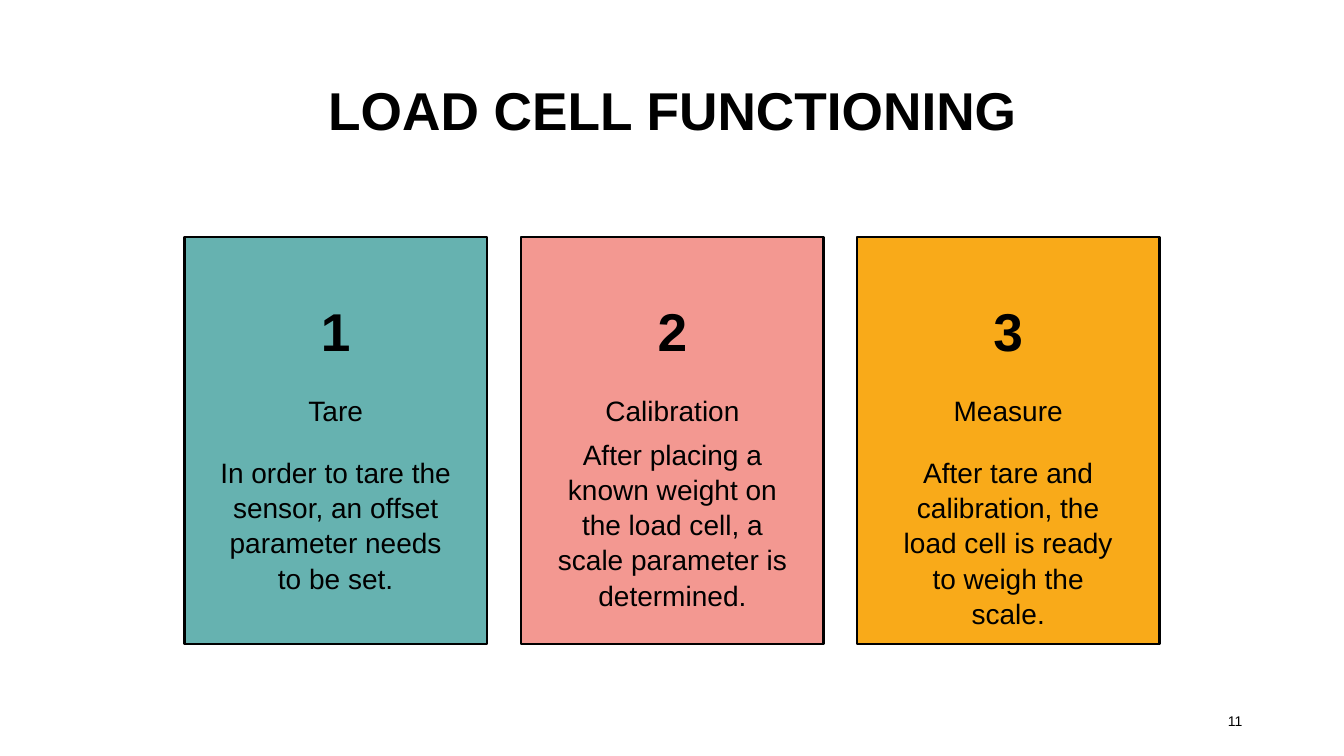
from dataclasses import dataclass

from pptx import Presentation
from pptx.dml.color import RGBColor
from pptx.enum.shapes import MSO_SHAPE as Shape
from pptx.enum.text import MSO_ANCHOR as Anchor, PP_ALIGN as Align
from pptx.util import Pt

EMU_PER_PX = 9144  # 100 px to the inch
SLIDE_WIDTH, SLIDE_HEIGHT = 1333, 750


def px(length):
    return length * EMU_PER_PX


@dataclass(frozen=True)
class Theme:
    font: str = "Arial"
    ink: str = "000000"
    teal: str = "66B2B0"
    pink: str = "F39891"
    amber: str = "F9AA19"
    display_size: int = 38
    body_size: int = 20
    page_size: int = 10
    border: float = 1.75
    tight: float = 0.9
    loose: float = 1.05


class SlideBuilder:
    def __init__(self, slide, theme):
        self.slide = slide
        self.theme = theme

    def set_words(self, shape, words, size, bold=False, align=Align.CENTER,
                  anchor=Anchor.TOP, spacing=1.0, inset_top=5):
        frame = shape.text_frame
        frame.word_wrap = True
        frame.vertical_anchor = anchor
        frame.margin_left = frame.margin_right = px(10)
        frame.margin_top, frame.margin_bottom = px(inset_top), px(5)
        frame.text = words
        paragraph = frame.paragraphs[0]
        paragraph.alignment = align
        paragraph.line_spacing = spacing
        font = paragraph.runs[0].font
        font.name, font.size, font.bold = self.theme.font, Pt(size), bold
        font.color.rgb = RGBColor.from_string(self.theme.ink)

    def text(self, box, words, size, **style):
        label = self.slide.shapes.add_textbox(*map(px, box))
        self.set_words(label, words, size, **style)

    def card(self, box, number, color):
        card = self.slide.shapes.add_shape(Shape.RECTANGLE, *map(px, box))
        card.shadow.inherit = False
        card.fill.solid()
        card.fill.fore_color.rgb = RGBColor.from_string(color)
        card.line.color.rgb = RGBColor.from_string(self.theme.ink)
        card.line.width = Pt(self.theme.border)
        self.set_words(card, number, self.theme.display_size, bold=True,
                       spacing=self.theme.tight, inset_top=68)


def main():
    theme = Theme()
    deck = Presentation()
    deck.slide_width, deck.slide_height = px(SLIDE_WIDTH), px(SLIDE_HEIGHT)
    builder = SlideBuilder(deck.slides.add_slide(deck.slide_layouts[6]), theme)

    # Title and page number
    builder.text((92, 40, 1150, 145), "LOAD CELL FUNCTIONING", theme.display_size,
                 bold=True, anchor=Anchor.MIDDLE, spacing=theme.tight)
    builder.text((942, 695, 300, 40), "11", theme.page_size,
                 align=Align.RIGHT, anchor=Anchor.MIDDLE)

    # Steps: color, heading, explanation, top of explanation
    steps = [
        (theme.teal, "Tare",
         "In order to tare the sensor, an offset parameter needs to be set.", 445),
        (theme.pink, "Calibration",
         "After placing a known weight on the load cell, "
         "a scale parameter is determined.", 427),
        (theme.amber, "Measure",
         "After tare and calibration, the load cell is ready to weigh the scale.", 445),
    ]
    card_width, text_width, text_bottom = 300, 250, 613
    for number, (color, heading, explanation, top) in enumerate(steps, start=1):
        center = round(number * 1000 / 3)
        text_left = center - text_width // 2
        builder.card((center - card_width // 2, 235, card_width, 404),
                     str(number), color)
        builder.text((text_left, 384, text_width, 80), heading,
                     theme.body_size, spacing=theme.loose)
        builder.text((text_left, top, text_width, text_bottom - top), explanation,
                     theme.body_size, spacing=theme.loose)

    deck.save("out.pptx")


if __name__ == "__main__":
    main()
